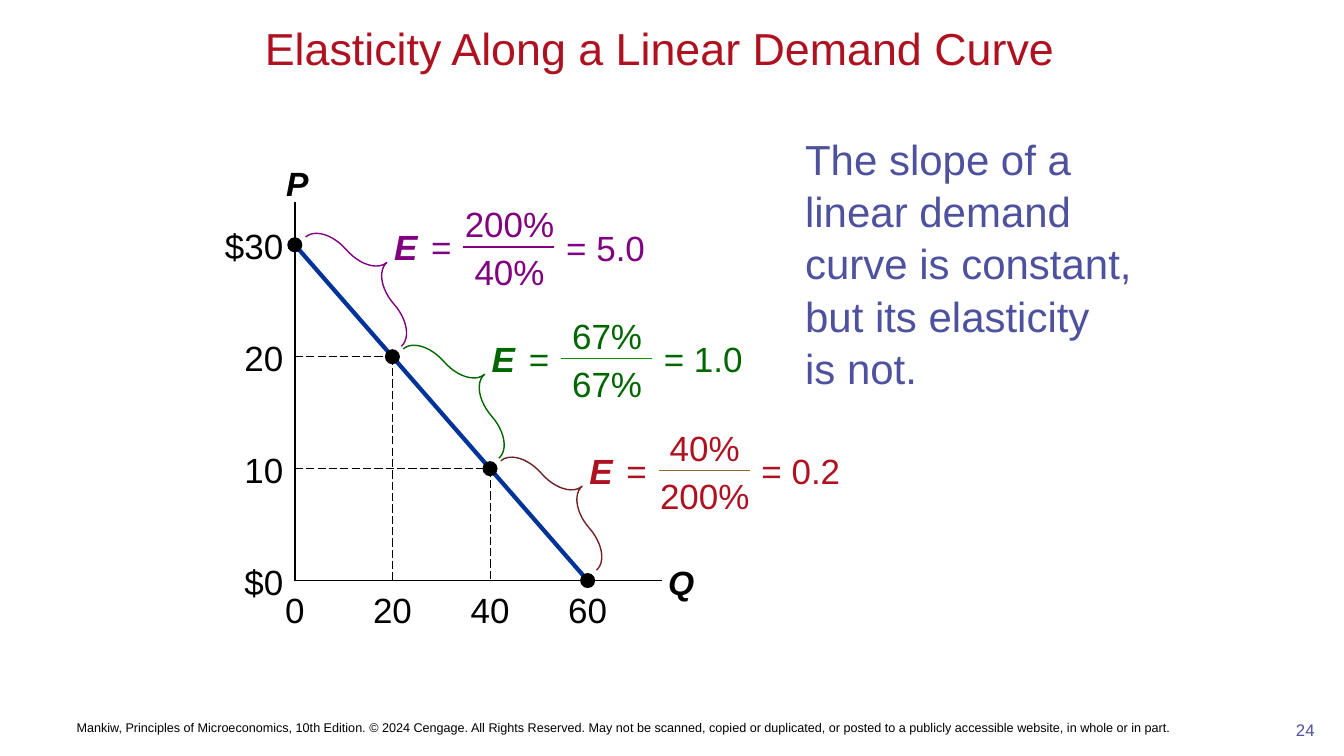
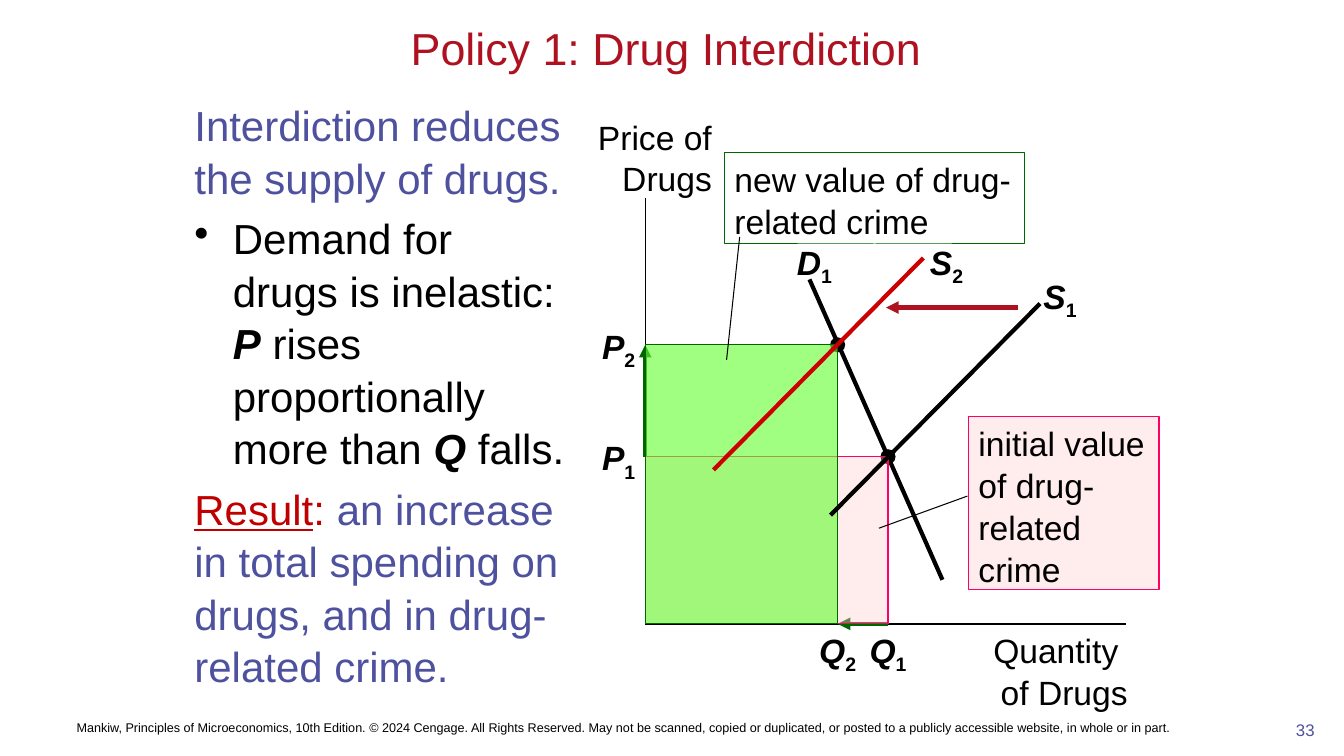
"""Build two slides on elasticity: a linear demand curve and drug interdiction."""
from dataclasses import dataclass, field
from typing import NamedTuple

from pptx import Presentation
from pptx import util as u
from pptx.dml.color import RGBColor
from pptx.enum import dml, shapes, text
from pptx.oxml.ns import qn
from lxml import etree

BLACK = RGBColor(0x00, 0x00, 0x00)
GREY = RGBColor(0x77, 0x77, 0x77)
RED = RGBColor(0xAE, 0x12, 0x21)
DARK = RGBColor(0xC0, 0x00, 0x00)
SCARLET = RGBColor(0xCC, 0x00, 0x00)
MAROON = RGBColor(0x70, 0x22, 0x24)
BROWN = RGBColor(0x99, 0x66, 0x33)
INDIGO = RGBColor(0x4E, 0x51, 0x9E)
BLUE = RGBColor(0x00, 0x33, 0x99)
PURPLE = RGBColor(0x80, 0x00, 0x80)
GREEN = RGBColor(0x00, 0x66, 0x00)
LEAF = RGBColor(0x00, 0x99, 0x00)
LIME = RGBColor(0x66, 0xFF, 0x33)
PINK = RGBColor(0xFF, 0xCC, 0xCC)
ROSE = RGBColor(0xFF, 0x00, 0x66)

LEFT, MID, RIGHT = text.PP_ALIGN.LEFT, text.PP_ALIGN.CENTER, text.PP_ALIGN.RIGHT
TOP, HALF = text.MSO_ANCHOR.TOP, text.MSO_ANCHOR.MIDDLE
DASH = dml.MSO_LINE.LONG_DASH
BOLD = {"bold": True, "italic": True}
DOT = 0.38
FOOTER = (
    "Mankiw, Principles of Microeconomics, 10th Edition. © 2024 Cengage. "
    "All Rights Reserved. May not be scanned, copied or duplicated, or posted "
    "to a publicly accessible website, in whole or in part."
)


class Box(NamedTuple):
    """Left, top, width and height in centimetres."""
    x: float
    y: float
    w: float
    h: float


class Point(NamedTuple):
    """A place in centimetres."""
    x: float
    y: float


@dataclass
class Run:
    """A stretch of text with its own font values."""
    words: str
    look: dict = field(default_factory=dict)


@dataclass
class Para:
    """A paragraph of runs, with or without a bullet."""
    runs: list[Run]
    bullet: bool = False


@dataclass
class Ratio:
    """One elasticity sum beside a stretch of the demand curve."""
    top: str
    base: str
    total: str
    ink: RGBColor
    bar: RGBColor
    brace: RGBColor


RATIOS = [
    Ratio("200%", "40%", "= 5.0", PURPLE, PURPLE, PURPLE),
    Ratio("67%", "67%", "= 1.0", GREEN, LEAF, GREEN),
    Ratio("40%", "200%", "= 0.2", RED, BROWN, MAROON),
]


def style(font, look: dict) -> None:
    """Set font values from a dict."""
    for key, val in look.items():
        if key == "ink":
            font.color.rgb = val
        else:
            setattr(font, key, val)


def write(frame, paras: list[Para], size: float, ink: RGBColor,
          align=LEFT, anchor=TOP, space: float = 1.04) -> None:
    """Fill a text frame with paragraphs."""
    frame.word_wrap = True
    frame.auto_size = text.MSO_AUTO_SIZE.NONE
    frame.vertical_anchor = anchor
    for i, para in enumerate(paras):
        p = frame.add_paragraph() if i else frame.paragraphs[0]
        if para.bullet:
            props = p._p.get_or_add_pPr()
            props.set("marL", str(u.Cm(0.97)))
            props.set("indent", str(-u.Cm(0.97)))
            etree.SubElement(props, qn("a:buChar")).set("char", "•")
        p.alignment, p.line_spacing = align, space
        if i:
            p.space_before = u.Pt(size / 5)
        for run in para.runs:
            look = {"name": "Arial", "size": u.Pt(size), "ink": ink} | run.look
            sub = look.pop("sub", False)
            for j, part in enumerate(run.words.split("\n")):
                if j:
                    p.add_line_break()
                r = p.add_run()
                r.text = part
                style(r.font, look)
                if sub:
                    r._r.get_or_add_rPr().set("baseline", "-25000")


def label(slide, box: Box, words: str | list[Run], size: float = 24,
          ink: RGBColor = BLACK, align=MID, anchor=TOP) -> None:
    """Add a text box of one paragraph."""
    runs = [Run(words)] if isinstance(words, str) else words
    area = slide.shapes.add_textbox(*map(u.Cm, box))
    write(area.text_frame, [Para(runs)], size, ink, align, anchor)


def index(name: str, sub: str) -> list[Run]:
    """Give a bold letter with a subscript."""
    return [Run(name, BOLD), Run(sub, {"bold": True, "sub": True})]


def link(slide, a: Point, b: Point, ink: RGBColor = BLACK,
         width: float = 1, dash=None, arrow: bool = False) -> None:
    """Draw a straight line or arrow."""
    line = slide.shapes.add_connector(
        shapes.MSO_CONNECTOR.STRAIGHT, *map(u.Cm, (*a, *b)))
    line.line.color.rgb = ink
    line.line.width = u.Pt(width)
    if dash:
        line.line.dash_style = dash
    if arrow:
        ln = line.element.xpath("./p:spPr/a:ln")[0]
        etree.SubElement(ln, qn("a:tailEnd")).set("type", "triangle")
    etree.SubElement(line.element.spPr, qn("a:effectLst"))


def shape(slide, kind, box: Box, fill: RGBColor | None = None, alpha: int = 100,
          edge: RGBColor | None = None, width: float = 0.75):
    """Add a preset shape."""
    item = slide.shapes.add_shape(kind, *map(u.Cm, box))
    item.shadow.inherit = False
    if fill is None:
        item.fill.background()
    else:
        item.fill.solid()
        item.fill.fore_color.rgb = fill
        if alpha < 100:
            tint = item.element.xpath("./p:spPr/a:solidFill/a:srgbClr")[0]
            etree.SubElement(tint, qn("a:alpha")).set("val", str(alpha * 1000))
    if edge is None:
        item.line.fill.background()
    else:
        item.line.color.rgb = edge
        item.line.width = u.Pt(width)
    return item


def dot(slide, at: Point) -> None:
    """Mark a point on a curve."""
    box = Box(at.x - DOT / 2, at.y - DOT / 2, DOT, DOT)
    shape(slide, shapes.MSO_SHAPE.OVAL, box, BLACK)


def guide(slide, at: Point, zero: Point, ink: RGBColor) -> None:
    """Drop dashed lines from a point to both axes."""
    link(slide, Point(zero.x, at.y), at, ink, 0.75, DASH)
    link(slide, at, Point(at.x, zero.y), ink, 0.75, DASH)
    dot(slide, at)


def axes(slide, zero: Point, top: float, end: float) -> None:
    """Draw the two axes of a graph."""
    link(slide, Point(zero.x, top), zero)
    link(slide, zero, Point(end, zero.y))


def page(deck, title: str, number: str, box: Box, paras: list[Para]):
    """Start a slide with title, body, footer and number."""
    slide = deck.slides.add_slide(deck.slide_layouts[5])
    head = slide.shapes.title
    head.left, head.top, head.width, head.height = map(
        u.Cm, Box(0.28, 0.28, 33.02, 1.83))
    write(head.text_frame, [Para([Run(title)])], 32, RED, MID, HALF, 1)
    head.text_frame.word_wrap = False
    label(slide, Box(31.93, 17.98, 1.93, 1.04), number, 12, INDIGO)
    label(slide, Box(1.68, 17.58, 30.76, 1.47), FOOTER, 9, align=LEFT, anchor=HALF)
    area = slide.shapes.add_textbox(*map(u.Cm, box))
    write(area.text_frame, paras, 30, INDIGO)
    return slide


def ratio(slide, at: Point, item: Ratio) -> None:
    """Write an elasticity sum and its brace from the upper point."""
    x, y = at
    w, h = 1.12, 3.66
    brace = shape(slide, shapes.MSO_SHAPE.RIGHT_BRACE,
                  Box(x + 1.9 - w / 2, y + 0.81 - h / 2, w, h),
                  edge=item.brace, width=1)
    brace.rotation = 318.8
    for i, val in enumerate((0.815, 0.5)):
        brace.adjustments[i] = val
    for left, top, wide, words, align in (
        (4, -1.24, 2.82, item.top, MID),
        (4, -0.03, 2.82, item.base, MID),
        (6.59, -0.64, 2.95, item.total, LEFT),
        (1.97, -0.66, 1.37, [Run("E", BOLD)], RIGHT),
        (2.9, -0.66, 1.3, "=", RIGHT),
    ):
        label(slide, Box(x + left, y + top, wide, 1.32), words, 25, item.ink, align)
    link(slide, Point(x + 4.25, y + 0.05), Point(x + 6.54, y + 0.05), item.bar)


def demand(deck) -> None:
    """Build the linear demand curve slide."""
    slide = page(deck, "Elasticity Along a Linear Demand Curve ", "24",
                 Box(20.04, 3.18, 8.84, 13.26),
                 [Para([Run("The slope of a linear demand curve is constant, "
                            "but its elasticity \nis not.")])])
    zero = Point(7.43, 14.63)
    spots = [Point(zero.x + 2.46 * i, zero.y - 2.82 * (3 - i)) for i in range(4)]
    axes(slide, zero, 5.1, 16.69)
    label(slide, Box(6.76, 3.94, 1.47, 1.27), [Run("P", BOLD)])
    label(slide, Box(16.48, 14, 1.37, 1.27), [Run("Q", BOLD)])
    for at, price, count in zip(spots, ("$30", "20", "10", "$0"),
                                ("0", "20", "40", "60")):
        label(slide, Box(5.38, at.y - 0.66, 2.01, 1.32), price, 25,
              align=RIGHT, anchor=HALF)
        label(slide, Box(at.x - 0.88, 14.68, 1.76, 1.32), count, 25, anchor=HALF)
    link(slide, spots[0], spots[-1], BLUE, 3)
    for at in (spots[0], spots[-1]):
        dot(slide, at)
    for at in spots[1:-1]:
        guide(slide, at, zero, BLACK)
    for at, item in zip(spots, RATIOS):
        ratio(slide, at, item)


def policy(deck) -> None:
    """Build the drug interdiction slide."""
    ink, red = {"ink": BLACK}, {"ink": DARK}
    slide = page(deck, "Policy 1: Drug Interdiction", "33",
                 Box(4.65, 2.34, 9.91, 15.67), [
        Para([Run("Interdiction reduces the supply of drugs.")]),
        Para([Run("Demand for drugs is inelastic: ", ink), Run("P", ink | BOLD),
              Run(" rises proportionally more than ", ink),
              Run("Q", ink | BOLD), Run(" falls.", ink)], True),
        Para([Run("Result", red | {"underline": True}), Run(": ", red),
              Run("an increase in total spending on drugs, "
                  "and in drug-related crime.")]),
    ])
    zero, old, new = Point(16.26, 15.72), Point(22.38, 11.51), Point(21.11, 8.69)
    rect = shapes.MSO_SHAPE.RECTANGLE
    link(slide, Point(20.4, 7.04), Point(23.75, 14.61), width=3)
    label(slide, Box(19.61, 5.92, 1.83, 1.27), index("D", "1"))
    axes(slide, zero, 4.98, 28.37)
    label(slide, Box(14.43, 2.77, 3.76, 2.31), "Price of Drugs", align=RIGHT)
    label(slide, Box(24.56, 15.7, 4.11, 2.31), "Quantity \nof Drugs", align=RIGHT)
    for at, sub in ((old, "1"), (new, "2")):
        label(slide, Box(zero.x - 1.7, at.y - 0.66, 1.7, 1.27),
              index("P", sub), align=RIGHT)
        label(slide, Box(at.x - 0.81, 15.7, 1.62, 1.27), index("Q", sub))
        guide(slide, at, zero, GREY)
    link(slide, Point(25.65, 7.75), Point(22.33, 7.75), RED, 3, arrow=True)
    link(slide, Point(old.x, zero.y), Point(new.x, zero.y), GREEN, 3, arrow=True)
    link(slide, Point(zero.x, old.y), Point(zero.x, new.y), GREEN, 3, arrow=True)
    for at, fill, alpha, edge in ((old, PINK, 36, ROSE), (new, LIME, 62, GREEN)):
        shape(slide, rect, Box(zero.x, at.y, at.x - zero.x, zero.y - at.y),
              fill, alpha, edge)
    for box, fill, edge, words, a, b in (
        (Box(18.26, 3.84, 7.57, 2.31), None, GREEN,
         "new value of drug-related crime", Point(18.64, 5.97), Point(18.31, 9.07)),
        (Box(24.41, 10.49, 4.8, 4.37), PINK, ROSE,
         "initial value of drug-related crime", Point(22.15, 13.31), Point(24.38, 12.5)),
    ):
        note = shape(slide, rect, box, fill, 36, edge)
        write(note.text_frame, [Para([Run(words)])], 24, BLACK)
        link(slide, a, b, width=0.75)
    for a, b, tone, box, sub in (
        (Point(17.98, 11.84), Point(23.27, 6.5), SCARLET, Box(22.94, 5.92, 1.83, 1.27), "2"),
        (Point(20.93, 12.98), Point(26.21, 7.65), BLACK, Box(25.93, 6.78, 1.57, 1.27), "1"),
    ):
        link(slide, a, b, tone, 3)
        label(slide, box, index("S", sub))


def main() -> None:
    """Build and save the deck."""
    deck = Presentation()
    deck.slide_width, deck.slide_height = u.Cm(33.87), u.Cm(19.05)
    demand(deck)
    policy(deck)
    deck.save("out.pptx")


if __name__ == "__main__":
    main()
